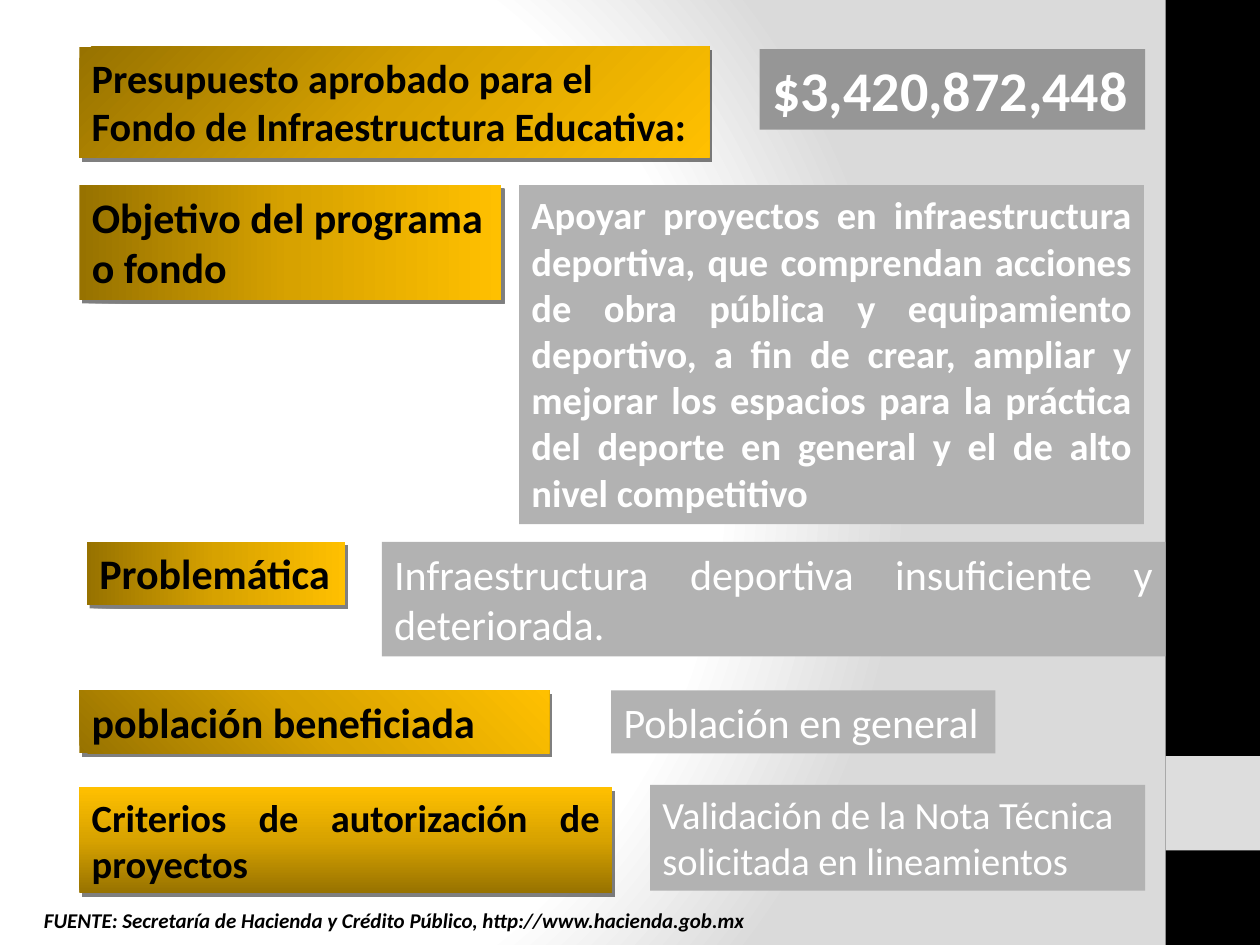
from dataclasses import dataclass
from typing import Optional

from lxml import etree
from pptx import Presentation
from pptx.dml.color import RGBColor
from pptx.enum.shapes import MSO_SHAPE
from pptx.enum.text import MSO_ANCHOR, MSO_AUTO_SIZE, PP_ALIGN
from pptx.oxml import parse_xml
from pptx.oxml.ns import nsdecls, qn
from pptx.util import Inches, Pt

RECTANGLE = MSO_SHAPE.RECTANGLE
TOP = MSO_ANCHOR.TOP
FIT_SHAPE = MSO_AUTO_SIZE.SHAPE_TO_FIT_TEXT
LEFT = PP_ALIGN.LEFT
JUSTIFY = PP_ALIGN.JUSTIFY

BLACK = RGBColor(0x00, 0x00, 0x00)
WHITE = RGBColor(0xFF, 0xFF, 0xFF)
PALE_GRAY = RGBColor(0xDD, 0xDD, 0xDD)
BACKDROP_GRAY = RGBColor(0xDA, 0xDA, 0xDA)
LIGHT_GRAY = RGBColor(0xB2, 0xB2, 0xB2)
DARK_GRAY = RGBColor(0x96, 0x96, 0x96)
DARK_GOLD = RGBColor(0x97, 0x72, 0x00)
MEDIUM_GOLD = RGBColor(0xD7, 0xA2, 0x00)
GOLD = RGBColor(0xFF, 0xC0, 0x00)

GOLD_STOPS = [(0, DARK_GOLD), (50, MEDIUM_GOLD), (100, GOLD)]
BACKDROP_STOPS = [(0, WHITE), (75, WHITE), (100, BACKDROP_GRAY)]
BACKDROP_SHADE = (
    '<a:path path="circle">'
    '<a:fillToRect l="20000" t="50000" r="100000" b="50000"/></a:path>'
)
FONT = "Calibri"
LABEL_LEFT = 0.63


@dataclass
class Box:
    text: str
    left: float
    top: float
    width: float
    height: float
    size: int
    bold: bool = False
    fill: RGBColor = LIGHT_GRAY
    angle: Optional[int] = None
    align: PP_ALIGN = LEFT
    wrap: bool = True


BOXES = [
    Box("Apoyar proyectos en infraestructura deportiva, que comprendan acciones "
        "de obra pública y equipamiento deportivo, a fin de crear, ampliar y "
        "mejorar los espacios para la práctica del deporte en general y el de "
        "alto nivel competitivo",
        4.12, 1.47, 4.96, 2.69, 22, bold=True, align=JUSTIFY),
    Box("Presupuesto aprobado para el Fondo de Infraestructura Educativa:",
        LABEL_LEFT, 0.37, 5, 0.88, 23, bold=True, angle=45),
    Box("$3,420,872,448", 6.03, 0.39, 3.06, 0.64, 32, bold=True,
        fill=DARK_GRAY, wrap=False),
    Box("Infraestructura deportiva insuficiente y deteriorada.",
        3.03, 4.3, 6.22, 0.91, 24, align=JUSTIFY),
    Box("Objetivo del programa o fondo",
        LABEL_LEFT, 1.47, 3.35, 0.91, 24, bold=True, angle=0),
    Box("Problemática", 0.69, 4.3, 2.05, 0.5, 24, bold=True, angle=0, wrap=False),
    Box("población beneficiada",
        LABEL_LEFT, 5.48, 3.73, 0.5, 24, bold=True, angle=315),
    Box("Validación de la Nota Técnica solicitada en lineamientos",
        5.16, 6.23, 3.93, 0.84, 22),
    Box("Población en general", 4.85, 5.48, 3.05, 0.5, 24, wrap=False),
    Box("Criterios de autorización de proyectos",
        LABEL_LEFT, 6.25, 4.23, 0.84, 22, bold=True, angle=270, align=JUSTIFY),
]


def apply_gradient(container, stops: list, shade: str) -> None:
    solid = container.find(qn("a:solidFill"))
    stop_list = "".join(
        f'<a:gs pos="{position * 1000}"><a:srgbClr val="{color}"/></a:gs>'
        for position, color in stops
    )
    gradient = parse_xml(
        f'<a:gradFill {nsdecls("a")} rotWithShape="1">'
        f"<a:gsLst>{stop_list}</a:gsLst>{shade}</a:gradFill>"
    )
    container.replace(solid, gradient)


def apply_shadow(shape) -> None:
    effects = shape.element.spPr.find(qn("a:effectLst"))
    shadow = etree.SubElement(effects, qn("a:outerShdw"), dist=str(Pt(2.6)),
                              dir=str(53 * 60000), algn="ctr", rotWithShape="0")
    color = etree.SubElement(shadow, qn("a:srgbClr"), val=str(BLACK))
    etree.SubElement(color, qn("a:alpha"), val="50000")


def add_rectangle(slide, left: float, top: float, width: float, height: float,
                  fill: RGBColor):
    shape = slide.shapes.add_shape(RECTANGLE, Inches(left), Inches(top),
                                   Inches(width), Inches(height))
    shape.shadow.inherit = False
    shape.fill.solid()
    shape.fill.fore_color.rgb = fill
    shape.line.fill.background()
    return shape


def write_text(shape, text: str, size: int, color: RGBColor, bold: bool,
               align: PP_ALIGN = LEFT, wrap: bool = True, italic: bool = False) -> None:
    frame = shape.text_frame
    frame.word_wrap = wrap
    frame.auto_size = FIT_SHAPE
    frame.vertical_anchor = TOP
    paragraph = frame.paragraphs[0]
    paragraph.text = text
    paragraph.alignment = align
    font = paragraph.font
    font.name = FONT
    font.size = Pt(size)
    font.bold = bold
    font.italic = italic
    font.color.rgb = color


def add_box(slide, box: Box) -> None:
    shape = add_rectangle(slide, box.left, box.top, box.width, box.height, box.fill)
    color = WHITE
    if box.angle is not None:
        color = BLACK
        apply_gradient(shape.element.spPr, GOLD_STOPS,
                       f'<a:lin ang="{box.angle * 60000}" scaled="1"/>')
        apply_shadow(shape)
    write_text(shape, box.text, box.size, color, box.bold, box.align, box.wrap)


def main() -> None:
    presentation = Presentation()
    presentation.slide_width = Inches(10)
    presentation.slide_height = Inches(7.5)
    slide = presentation.slides.add_slide(presentation.slide_layouts[6])

    slide.background.fill.solid()
    background = slide.element.find(".//" + qn("p:bgPr"))
    apply_gradient(background, BACKDROP_STOPS, BACKDROP_SHADE)

    add_rectangle(slide, 9.25, 0, 0.75, 7.5, BLACK)
    add_rectangle(slide, 9.25, 6, 0.75, 0.75, PALE_GRAY)
    for box in BOXES:
        add_box(slide, box)

    source = slide.shapes.add_textbox(Inches(0.25), Inches(7.15),
                                      Inches(6.71), Inches(0.3))
    write_text(source, "FUENTE: Secretaría de Hacienda y Crédito Público, "
               "http://www.hacienda.gob.mx", 12, BLACK, bold=True, italic=True)

    presentation.save("out.pptx")


if __name__ == "__main__":
    main()
